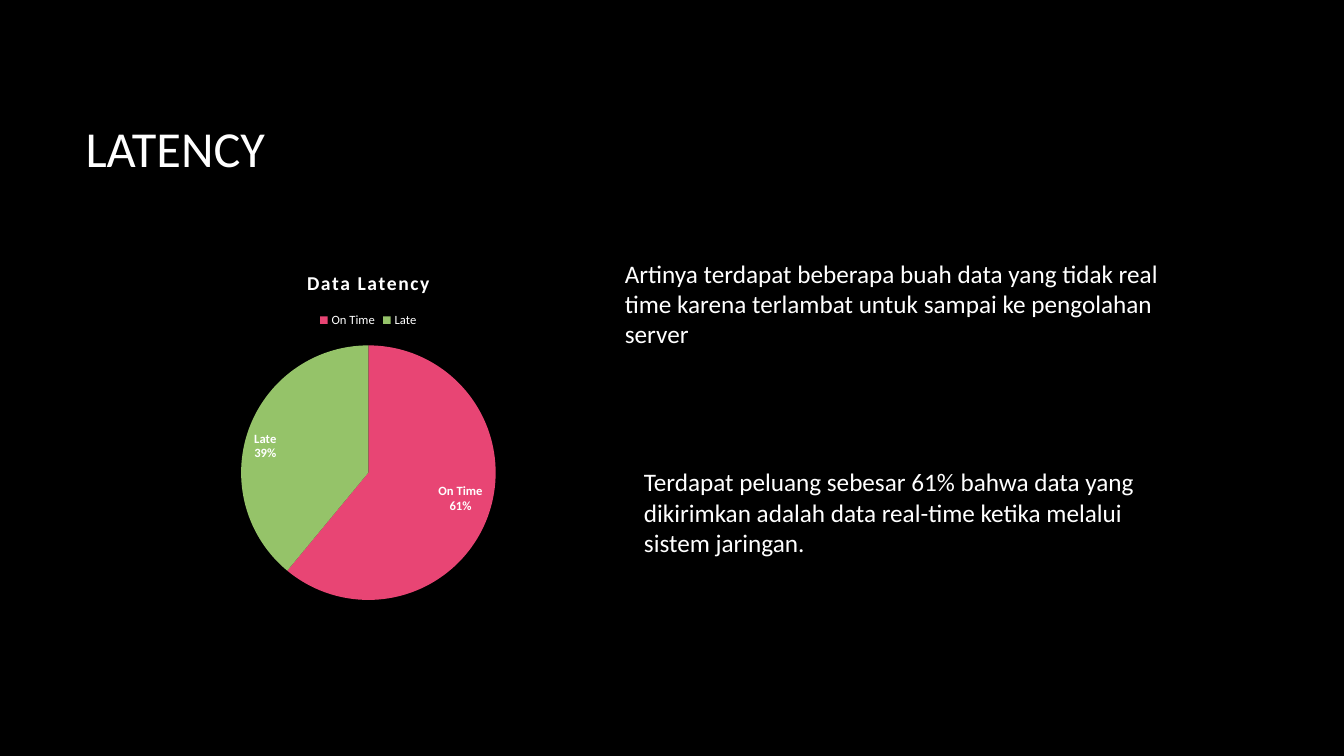
import pptx
import pptx.util
import pptx.chart.data
import pptx.dml.color
import pptx.enum.chart
import pptx.enum.text
import lxml.etree

Pt = pptx.util.Pt
RGB = pptx.dml.color.RGBColor.from_string
ANCHOR = pptx.enum.text.MSO_ANCHOR
XL = pptx.enum.chart

COLORS = {"bg": "000000", "text": "FFFFFF", "On Time": "E84574", "Late": "95C369"}
FONT = "Calibri"
LATENCY = {"On Time": 61, "Late": 39}
CHART_TITLE = "Data Latency"
CHART_BOX = (54, 180.7, 418.3, 257.8)
TEXTS = [
    ("LATENCY", (54, 48.2, 797.8, 114.5), 36, ANCHOR.MIDDLE),
    ("Artinya terdapat beberapa buah data yang tidak real time karena terlambat "
     "untuk sampai ke pengolahan server", (439.2, 180.7, 412.6, 72.7), 18, ANCHOR.TOP),
    ("Terdapat peluang sebesar 61% bahwa data yang dikirimkan adalah data real-time "
     "ketika melalui sistem jaringan.", (452.9, 329.8, 385.9, 94.3), 18, ANCHOR.TOP),
]


def set_attrs(obj, values):
    for name, value in values.items():
        setattr(obj, name, value)


def style(font, size, bold=False):
    set_attrs(font, {"name": FONT, "size": Pt(size), "bold": bold})
    font.color.rgb = RGB(COLORS["text"])


def add_text(slide, text, box, size, anchor):
    tf = slide.shapes.add_textbox(*map(Pt, box)).text_frame
    set_attrs(tf, {"word_wrap": True, "vertical_anchor": anchor})
    r = tf.paragraphs[0].add_run()
    r.text = text
    style(r.font, size)


def add_pie(slide):
    data = pptx.chart.data.CategoryChartData()
    data.categories = list(LATENCY)
    data.add_series("Series 1", list(LATENCY.values()))
    chart = slide.shapes.add_chart(XL.XL_CHART_TYPE.PIE, *map(Pt, CHART_BOX), data).chart
    style(chart.font, 10)

    r = chart.chart_title.text_frame.paragraphs[0].add_run()
    r.text = CHART_TITLE
    style(r.font, 14, True)
    r.font._element.set("spc", "100")

    chart.has_legend = True
    set_attrs(chart.legend, {"position": XL.XL_LEGEND_POSITION.TOP, "include_in_layout": False})
    style(chart.legend.font, 9)

    plot = chart.plots[0]
    plot.vary_by_categories = True
    series = plot.series[0]
    for i, name in enumerate(LATENCY):
        fmt = series.points[i].format
        fmt.fill.solid()
        fmt.fill.fore_color.rgb = RGB(COLORS[name])
        fmt.line.fill.background()

    labels = series.data_labels
    set_attrs(labels, {
        "show_percentage": True, "show_category_name": True, "show_value": False,
        "number_format": "0%", "number_format_is_linked": False,
        "position": XL.XL_LABEL_POSITION.INSIDE_END,
    })
    style(labels.font, 9, True)
    bubble = labels._element.find("{*}showBubbleSize")
    separator = lxml.etree.Element(bubble.tag.replace("showBubbleSize", "separator"))
    separator.text = "\n"
    bubble.addnext(separator)


prs = pptx.Presentation()
set_attrs(prs, {"slide_width": Pt(960), "slide_height": Pt(540)})
s = prs.slides.add_slide(prs.slide_layouts[6])
s.background.fill.solid()
s.background.fill.fore_color.rgb = RGB(COLORS["bg"])
add_pie(s)
for entry in TEXTS:
    add_text(s, *entry)
prs.save("out.pptx")
